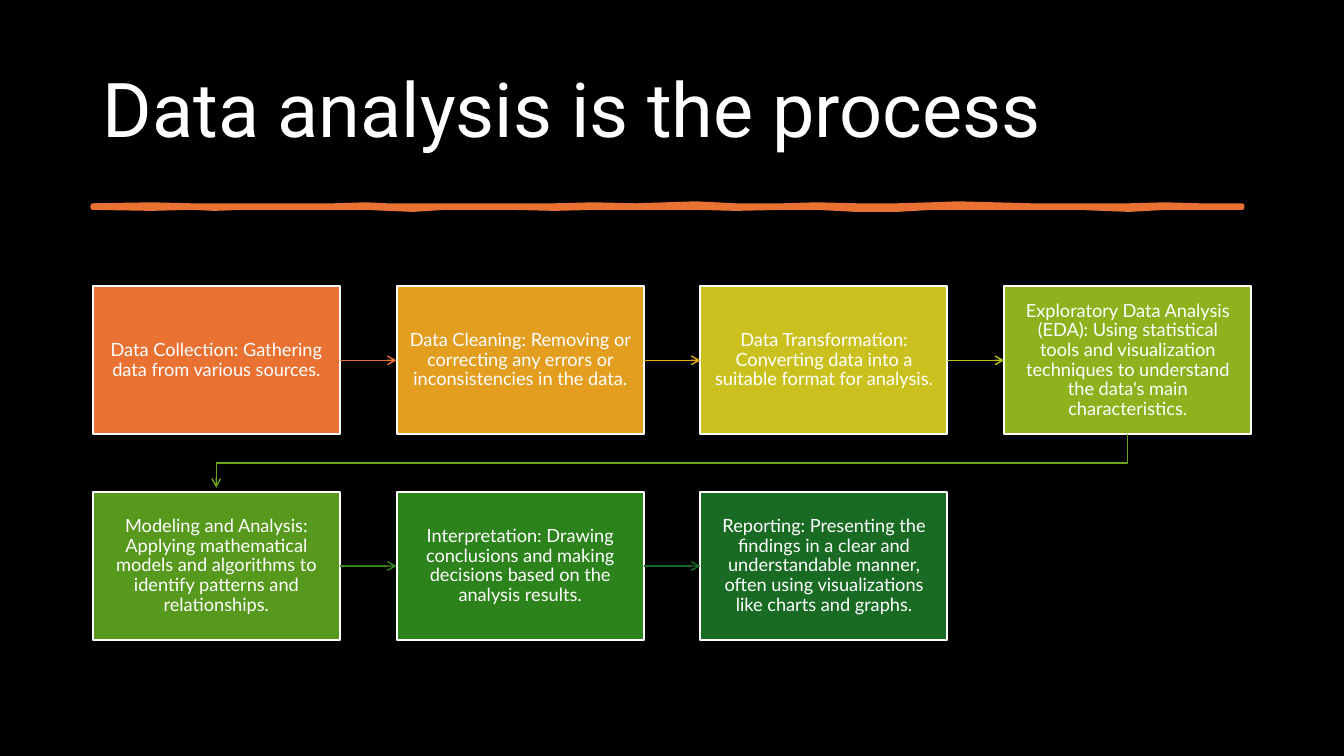
from itertools import pairwise

from lxml.etree import SubElement
from pptx import Presentation
from pptx.dml.color import RGBColor
from pptx.enum.shapes import MSO_CONNECTOR, MSO_SHAPE
from pptx.enum.text import MSO_ANCHOR, PP_ALIGN
from pptx.oxml.ns import qn
from pptx.util import Inches, Pt

COLORS = {"background": "000000", "text": "FFFFFF", "border": "FFFFFF", "brush": "E97132"}

# Grid of step boxes, in inches
COLUMNS = 4
LEFT, TOP = 0.92, 2.84
BOX_WIDTH, BOX_HEIGHT = 2.45, 1.47
COLUMN_STEP = (9.96 - LEFT) / (COLUMNS - 1)
ROW_STEP = 2.04
ARROW_GAP = 0.04

# Step text, box fill, colour of the arrow to the next step
STEPS = [
    ("Data Collection: Gathering data from various sources.", "E97132", "E97132"),
    ("Data Cleaning: Removing or correcting any errors or inconsistencies in the data.",
     "E39D1F", "E0A61D"),
    ("Data Transformation: Converting data into a suitable format for analysis.",
     "CBC11E", "B7C11E"),
    ("Exploratory Data Analysis (EDA): Using statistical tools and visualization "
     "techniques to understand the data's main characteristics.", "8EB21E", "6BA31D"),
    ("Modeling and Analysis: Applying mathematical models and algorithms to identify "
     "patterns and relationships.", "56991D", "34861C"),
    ("Interpretation: Drawing conclusions and making decisions based on the analysis "
     "results.", "2C821B", "196B24"),
    ("Reporting: Presenting the findings in a clear and understandable manner, often "
     "using visualizations like charts and graphs.", "196B24", None),
]

# Brush stroke: x, upper edge and lower edge, in inches
BRUSH = [
    (0.92, 2.04, 2.06), (1.5, 2.03, 2.07), (1.9, 2.04, 2.06), (2.13, 2.04, 2.07),
    (2.4, 2.04, 2.06), (2.89, 2.04, 2.06), (3.31, 2.04, 2.06), (3.63, 2.03, 2.06),
    (3.84, 2.04, 2.07), (4.1, 2.04, 2.08), (4.41, 2.04, 2.06), (5.06, 2.04, 2.06),
    (5.5, 2.04, 2.07), (5.89, 2.03, 2.06), (6.31, 2.04, 2.06), (6.9, 2.02, 2.06),
    (7.3, 2.04, 2.07), (7.76, 2.04, 2.06), (8.1, 2.03, 2.06), (8.5, 2.04, 2.08),
    (8.9, 2.04, 2.08), (9.24, 2.03, 2.06), (9.5, 2.02, 2.06), (10.23, 2.04, 2.06),
    (10.68, 2.04, 2.06), (11.2, 2.04, 2.08), (11.56, 2.03, 2.06), (11.9, 2.04, 2.06),
    (12.32, 2.04, 2.06),
]


def color(code):
    return RGBColor.from_string(code)


def style_line(shape, code, width):
    shape.line.color.rgb = color(code)
    shape.line.width = Pt(width)


def add_arrowhead(shape):
    SubElement(shape.line._get_or_add_ln(), qn("a:tailEnd"), type="arrow")


def write(box, text, font, size):
    """Fill a box with one wrapped, vertically centred paragraph."""
    frame = box.text_frame
    frame.word_wrap = True
    frame.vertical_anchor = MSO_ANCHOR.MIDDLE
    para = frame.paragraphs[0]
    para.line_spacing = 0.9
    span = para.add_run()
    span.text = text
    span.font.name = font
    span.font.size = Pt(size)
    span.font.color.rgb = color(COLORS["text"])
    return para


def add_title(page, text):
    box = page.shapes.add_textbox(Inches(LEFT), Inches(0.4), Inches(11.5), Inches(1.45))
    write(box, text, "Roboto", 54)


def add_outline(page, points, close):
    start, *rest = [(Inches(x), Inches(y)) for x, y in points]
    builder = page.shapes.build_freeform(*start)
    builder.add_line_segments(rest, close=close)
    outline = builder.convert_to_shape()
    outline.shadow.inherit = False
    return outline


def add_brush_stroke(page):
    upper = [(x, high) for x, high, low in BRUSH]
    lower = [(x, low) for x, high, low in reversed(BRUSH)]
    stroke = add_outline(page, upper + lower, close=True)
    stroke.fill.solid()
    stroke.fill.fore_color.rgb = color(COLORS["brush"])
    style_line(stroke, COLORS["brush"], 3.25)


def box_corner(index):
    row, column = divmod(index, COLUMNS)
    return LEFT + column * COLUMN_STEP, TOP + row * ROW_STEP


def add_step(page, index, text, fill):
    left, top = box_corner(index)
    box = page.shapes.add_shape(MSO_SHAPE.RECTANGLE, Inches(left), Inches(top),
                                Inches(BOX_WIDTH), Inches(BOX_HEIGHT))
    box.shadow.inherit = False
    box.fill.solid()
    box.fill.fore_color.rgb = color(fill)
    style_line(box, COLORS["border"], 1.5)
    frame = box.text_frame
    frame.margin_left = frame.margin_right = Inches(0.12)
    frame.margin_top = frame.margin_bottom = Inches(0.13)
    write(box, text, "Lato", 13).alignment = PP_ALIGN.CENTER
    return box


def add_row_arrow(page, source, target, code):
    arrow = page.shapes.add_connector(MSO_CONNECTOR.STRAIGHT, 0, 0, 0, 0)
    arrow.begin_connect(source, 3)
    arrow.end_connect(target, 1)
    style_line(arrow, code, 1)
    add_arrowhead(arrow)
    SubElement(arrow._element.spPr, qn("a:effectLst"))


def add_wrap_arrow(page, index, code):
    """Lead from the last box of a row to the first box of the next row."""
    left, top = box_corner(index)
    next_left, next_top = box_corner(index + 1)
    start_x, end_x = left + BOX_WIDTH / 2, next_left + BOX_WIDTH / 2
    bottom = top + BOX_HEIGHT
    middle = (bottom + next_top) / 2
    points = [(start_x, bottom), (start_x, middle), (end_x, middle),
              (end_x, next_top - ARROW_GAP)]
    arrow = add_outline(page, points, close=False)
    arrow.fill.background()
    style_line(arrow, code, 1)
    add_arrowhead(arrow)


def main():
    deck = Presentation()
    deck.slide_width, deck.slide_height = Inches(13.33), Inches(7.5)
    page = deck.slides.add_slide(deck.slide_layouts[6])
    page.background.fill.solid()
    page.background.fill.fore_color.rgb = color(COLORS["background"])

    add_title(page, "Data analysis is the process")
    add_brush_stroke(page)
    boxes = [add_step(page, index, text, fill)
             for index, (text, fill, _) in enumerate(STEPS)]
    for index, (source, target) in enumerate(pairwise(boxes)):
        arrow_color = STEPS[index][2]
        if (index + 1) % COLUMNS:
            add_row_arrow(page, source, target, arrow_color)
        else:
            add_wrap_arrow(page, index, arrow_color)
    deck.save("out.pptx")


if __name__ == "__main__":
    main()
